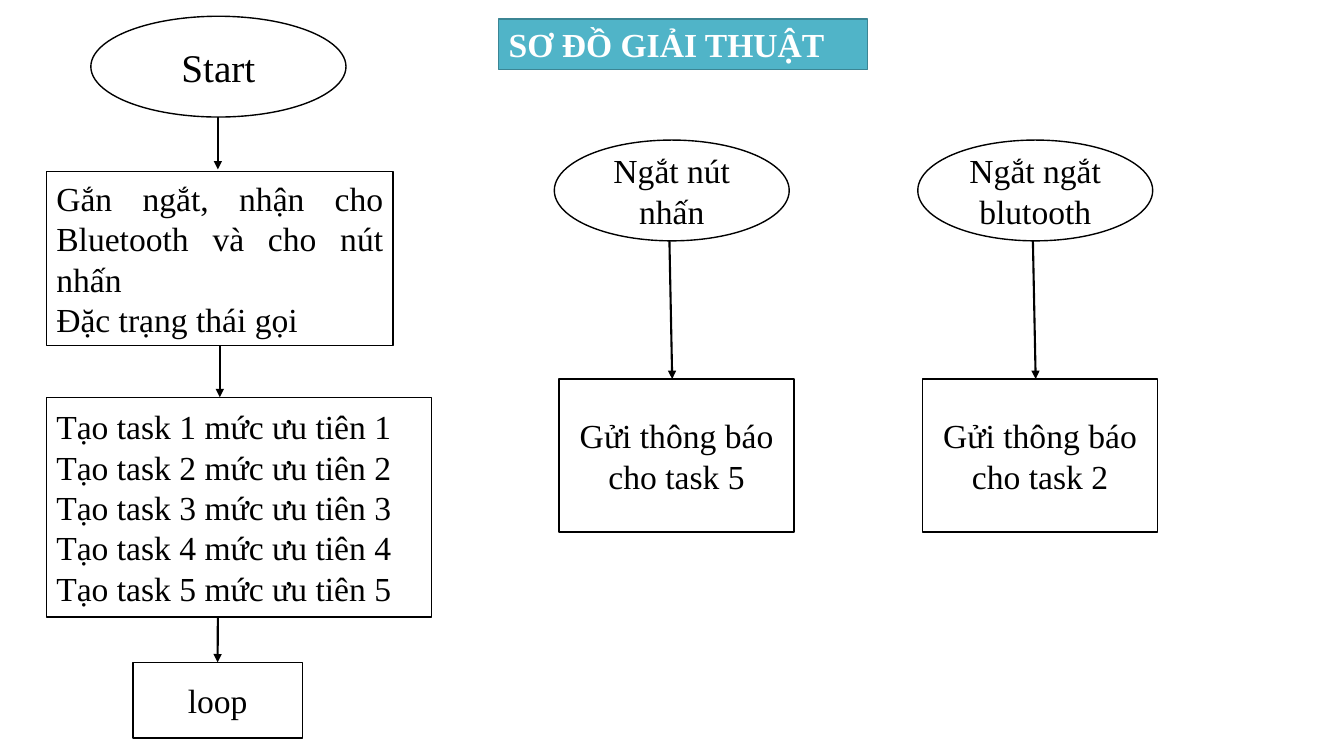
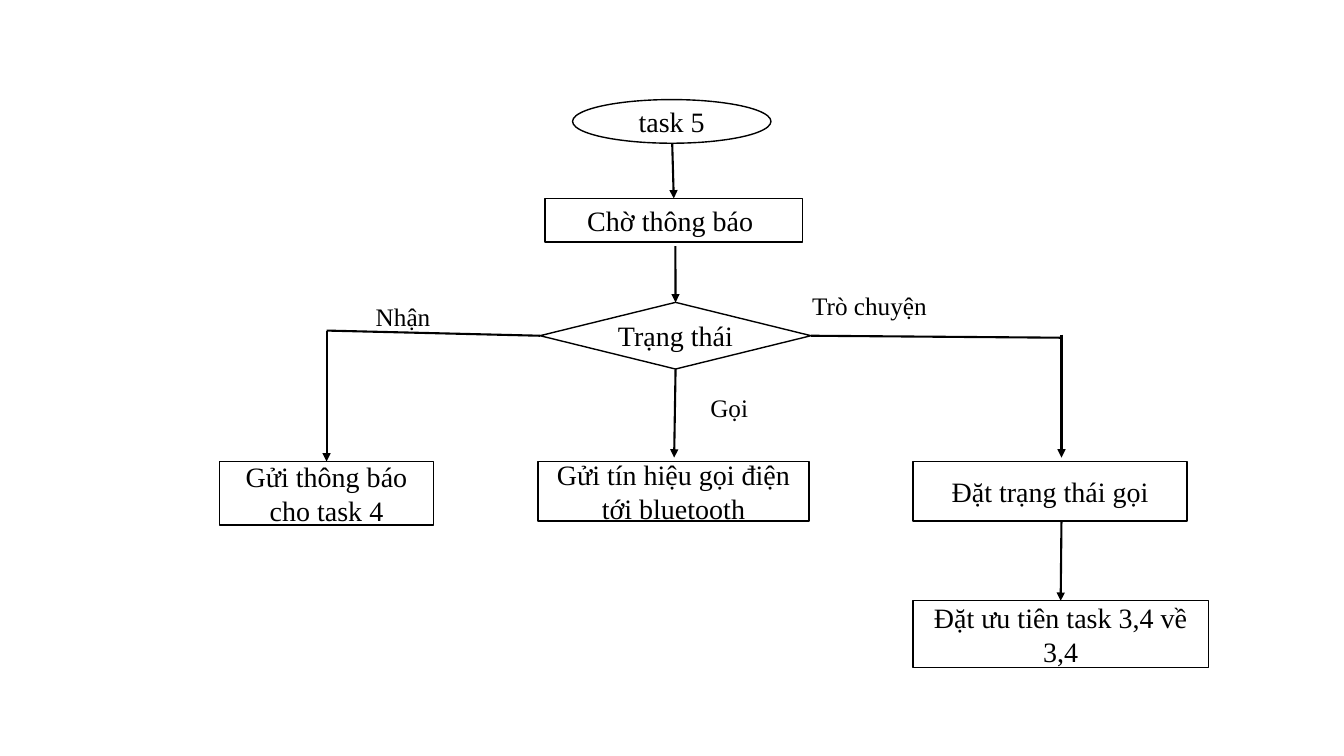
from lxml.etree import SubElement
from pptx import Presentation
from pptx.dml.color import RGBColor
from pptx.enum.shapes import MSO_CONNECTOR, MSO_SHAPE
from pptx.enum.text import MSO_ANCHOR, MSO_AUTO_SIZE, PP_ALIGN
from pptx.oxml.ns import qn
from pptx.util import Cm, Pt

BLACK = RGBColor(0x00, 0x00, 0x00)
WHITE = RGBColor(0xFF, 0xFF, 0xFF)
TEAL = RGBColor(0x50, 0xB4, 0xC8)
DARK_TEAL = RGBColor(0x3B, 0x85, 0x94)

RECTANGLE, OVAL = MSO_SHAPE.RECTANGLE, MSO_SHAPE.OVAL
DECISION = MSO_SHAPE.FLOWCHART_DECISION
TOP, LEFT, BOTTOM, RIGHT = range(4)


def add_box(page, preset, frame, text, size, align=PP_ALIGN.CENTER,
            fill=WHITE, line=BLACK, color=BLACK, bold=False, anchor=MSO_ANCHOR.MIDDLE):
    """Add an outlined shape with text, or a plain label when preset is None."""
    frame = [Cm(value) for value in frame]
    if preset is None:
        box = page.shapes.add_textbox(*frame)
        box.text_frame.word_wrap = False
        box.text_frame.auto_size = MSO_AUTO_SIZE.SHAPE_TO_FIT_TEXT
    else:
        box = page.shapes.add_shape(preset, *frame)
        box.shadow.inherit = False
        box.fill.solid()
        box.fill.fore_color.rgb = fill
        box.line.color.rgb = line
        box.line.width = Pt(1)
        box.text_frame.word_wrap = True
    box.text_frame.vertical_anchor = anchor
    box.text_frame.text = text
    font_format = {"name": "Times New Roman", "size": Pt(size), "bold": bold}
    for para in box.text_frame.paragraphs:
        para.alignment = align
        for span in para.runs:
            span.font.color.rgb = color
            for name, value in font_format.items():
                setattr(span.font, name, value)
    return box


def add_line(page, start, end, arrow=True):
    """Each end is an (x, y) point in cm or a (shape, side) pair to join."""
    points = [end_point if isinstance(end_point[0], (int, float)) else (0, 0)
              for end_point in (start, end)]
    line = page.shapes.add_connector(
        MSO_CONNECTOR.STRAIGHT, *[Cm(value) for point in points for value in point])
    for connect, end_point in ((line.begin_connect, start), (line.end_connect, end)):
        if not isinstance(end_point[0], (int, float)):
            connect(*end_point)
    line.line.color.rgb = BLACK
    line.line.width = Pt(1.5)
    if arrow:
        SubElement(line.line._get_or_add_ln(), qn("a:tailEnd"), type="triangle")
    SubElement(line._element.spPr, qn("a:effectLst"))


deck = Presentation()
deck.slide_width, deck.slide_height = Cm(33.87), Cm(19.05)
blank = deck.slide_layouts[6]

# Slide 1: title
page = deck.slides.add_slide(blank)
add_box(page, RECTANGLE, (12.57, 0.48, 9.3, 1.27), "SƠ ĐỒ GIẢI THUẬT", 24,
        align=PP_ALIGN.LEFT, fill=TEAL, line=DARK_TEAL, color=WHITE, bold=True,
        anchor=MSO_ANCHOR.TOP)

# Slide 1: main flow
add_box(page, OVAL, (2.29, 0.41, 6.43, 2.54), "Start", 28)
setup = add_box(page, RECTANGLE, (1.17, 4.32, 8.74, 4.39),
                "Gắn ngắt, nhận cho Bluetooth và cho nút nhấn\nĐặc trạng thái gọi",
                24, PP_ALIGN.JUSTIFY)
tasks = "\n".join(f"Tạo task {number} mức ưu tiên {number}" for number in range(1, 6))
add_box(page, RECTANGLE, (1.17, 10.01, 9.7, 5.54), tasks, 24, PP_ALIGN.JUSTIFY)
loop = add_box(page, RECTANGLE, (3.35, 16.69, 4.27, 1.91), "loop", 24)
add_line(page, (5.49, 2.95), (5.49, 4.27))
add_line(page, (setup, BOTTOM), (5.54, 10.01))
add_line(page, (5.49, 15.55), (loop, TOP))

# Slide 1: interrupt flows
interrupts = [("Ngắt nút nhấn", 5), ("Ngắt ngắt blutooth", 2)]
for column, (interrupt, task) in enumerate(interrupts):
    left = 13.97 + 9.16 * column
    add_box(page, OVAL, (left, 3.53, 5.92, 2.54), interrupt, 24)
    add_line(page, (left + 2.9, 6.07), (left + 2.97, 9.55))
    add_box(page, RECTANGLE, (left + 0.12, 9.55, 5.92, 3.86),
            f"Gửi thông báo cho task {task}", 24)

# Slide 2: steps of task 5
page = deck.slides.add_slide(blank)
steps = {
    "task": (OVAL, (14.43, 2.51, 5, 1.1), "task 5"),
    "wait": (RECTANGLE, (13.74, 5, 6.48, 1.1), "Chờ thông báo "),
    "state": (DECISION, (13.61, 7.62, 6.83, 1.68), "Trạng thái"),
    "receive": (RECTANGLE, (5.54, 11.63, 5.38, 1.6), "Gửi thông báo cho task 4"),
    "call": (RECTANGLE, (13.56, 11.63, 6.83, 1.5), "Gửi tín hiệu gọi điện tới bluetooth"),
    "chat": (RECTANGLE, (23.01, 11.63, 6.91, 1.5), "Đặt trạng thái gọi"),
    "priority": (RECTANGLE, (23.01, 15.14, 7.44, 1.68), "Đặt ưu tiên task 3,4 về 3,4"),
}
boxes = {name: add_box(page, *step, 20) for name, step in steps.items()}

# Slide 2: arrows and branches
state = boxes["state"]
receive_corner = (8.23, 8.33)
chat_x = 26.75
add_line(page, (16.94, 3.61), (boxes["wait"], TOP))
add_line(page, (17.02, 6.2), (state, TOP))
add_line(page, (state, BOTTOM), (16.99, 11.53))
add_line(page, receive_corner, (state, LEFT), arrow=False)
add_line(page, receive_corner, (boxes["receive"], TOP))
add_line(page, (state, RIGHT), (chat_x, 8.51), arrow=False)
add_line(page, (chat_x, 8.43), (chat_x, 11.53))
add_line(page, (chat_x, 13.13), (boxes["priority"], TOP))

# Slide 2: branch labels
labels = [("Trò chuyện", 20.22, 7.19, 3.43), ("Gọi", 17.65, 9.75, 1.47),
          ("Nhận", 9.22, 7.47, 1.91)]
for text, left, top, width in labels:
    add_box(page, None, (left, top, width, 1.02), text, 18,
            align=PP_ALIGN.LEFT, anchor=MSO_ANCHOR.TOP)

deck.save("out.pptx")
